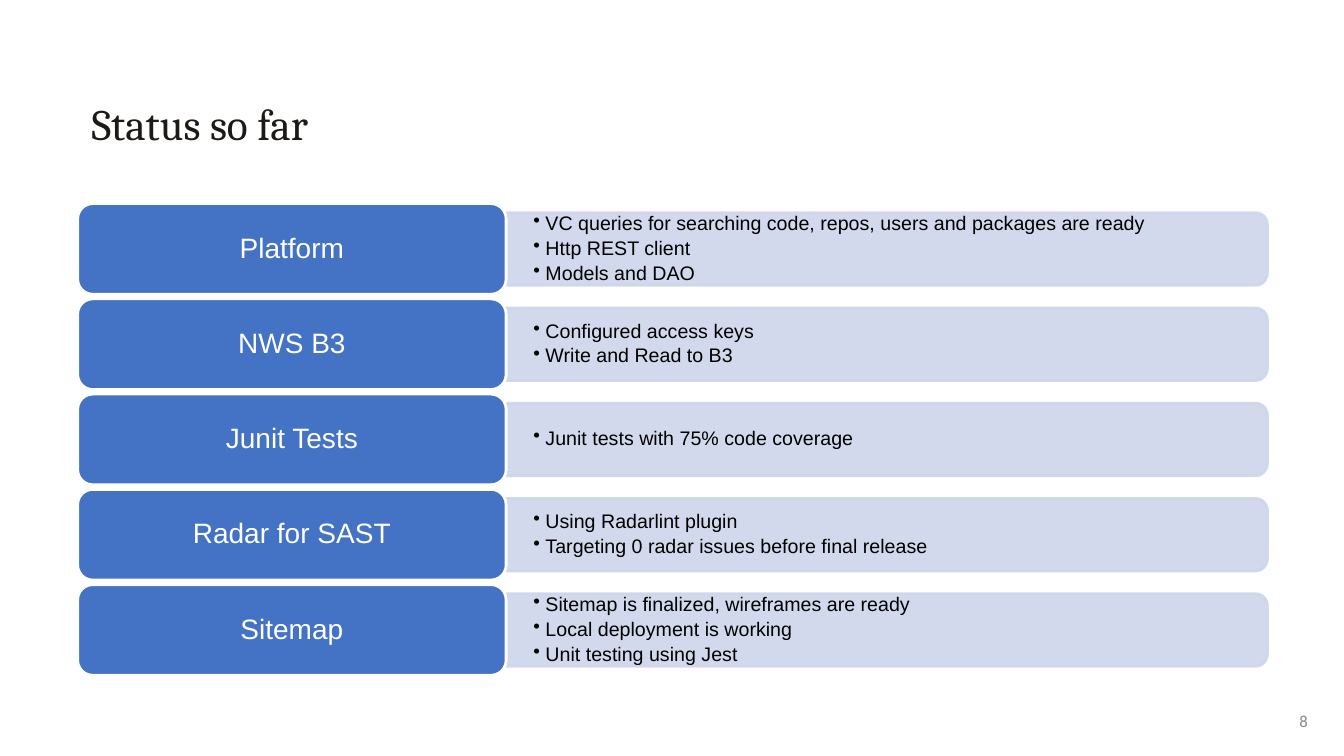
from lxml.etree import SubElement
from pptx import Presentation
from pptx.dml.color import RGBColor
from pptx.enum.shapes import MSO_SHAPE as Shape
from pptx.enum.text import MSO_ANCHOR as Anchor, PP_ALIGN as Align
from pptx.oxml.ns import qn
from pptx.util import Inches, Pt

COLORS = {
    "title": "1D1A16",
    "number": "888888",
    "label": "4472C4",
    "bar": "CFD5EA",
    "white": "FFFFFF",
    "black": "000000",
}

ROWS = [
    ("Platform", ["VC queries for searching code, repos, users and packages are ready",
                  "Http REST client",
                  "Models and DAO"]),
    ("NWS B3", ["Configured access keys",
                "Write and Read to B3"]),
    ("Junit Tests", ["Junit tests with 75% code coverage"]),
    ("Radar for SAST", ["Using Radarlint plugin",
                        "Targeting 0 radar issues before final release"]),
    ("Sitemap", ["Sitemap is finalized, wireframes are ready",
                 "Local deployment is working",
                 "Unit testing using Jest"]),
]

LABEL_LEFT, LABEL_WIDTH, LABEL_HEIGHT = 0.77, 4.25, 0.9
FIRST_TOP, ROW_STEP = 2.02, 0.945
BAR_LENGTH, BAR_HEIGHT = 7.55, 0.72
TEXT_WIDTH, TEXT_HEIGHT = 7.51, 0.65
DETAIL_LEFT = LABEL_LEFT + LABEL_WIDTH


def add_span(para, text, size, font, color):
    span = para.add_run()
    span.text = text
    span.font.size = Pt(size)
    span.font.name = font
    span.font.color.rgb = RGBColor.from_string(COLORS[color])


def add_block(kind, left, top, width, height, fill, line):
    block = page.shapes.add_shape(kind, Inches(left), Inches(top), Inches(width), Inches(height))
    block.shadow.inherit = False
    block.fill.solid()
    block.fill.fore_color.rgb = RGBColor.from_string(COLORS[fill])
    block.line.color.rgb = RGBColor.from_string(COLORS[line])
    block.line.width = Pt(2)
    return block


deck = Presentation()
deck.slide_width, deck.slide_height = Inches(13.33), Inches(7.5)
page = deck.slides.add_slide(deck.slide_layouts[6])

# Title
box = page.shapes.add_textbox(Inches(0.56), Inches(0.91), Inches(9.45), Inches(0.78))
box.text_frame.word_wrap = True
para = box.text_frame.paragraphs[0]
para.space_before = Pt(10)
indents = para._p.get_or_add_pPr()
indents.set("marL", str(Inches(0.5)))
indents.set("indent", str(Inches(-0.25)))
add_span(para, "Status so far", 31, "Cambria", "title")

# Page number
box = page.shapes.add_textbox(Inches(10.07), Inches(6.95), Inches(3), Inches(0.4))
box.text_frame.word_wrap = True
box.text_frame.vertical_anchor = Anchor.MIDDLE
para = box.text_frame.paragraphs[0]
para.alignment = Align.RIGHT
add_span(para, "8", 12, "Calibri", "number")

# One label and one bar of details per row
for index, (name, details) in enumerate(ROWS):
    top = FIRST_TOP + index * ROW_STEP
    middle = top + LABEL_HEIGHT / 2

    # The bar stands upright and is turned so its round corners face right
    bar_left = DETAIL_LEFT + (BAR_LENGTH - BAR_HEIGHT) / 2
    bar = add_block(Shape.ROUND_2_SAME_RECTANGLE, bar_left, middle - BAR_LENGTH / 2,
                    BAR_HEIGHT, BAR_LENGTH, "bar", "bar")
    bar.rotation = 90
    for color in bar._element.spPr.iter(qn("a:srgbClr")):
        SubElement(color, qn("a:alpha")).set("val", "90000")

    box = page.shapes.add_textbox(Inches(DETAIL_LEFT), Inches(middle - TEXT_HEIGHT / 2),
                                  Inches(TEXT_WIDTH), Inches(TEXT_HEIGHT))
    frame = box.text_frame
    frame.word_wrap = True
    frame.vertical_anchor = Anchor.MIDDLE
    frame.margin_left = frame.margin_right = Inches(0.27)
    frame.margin_top = frame.margin_bottom = Inches(0.14)
    for number, detail in enumerate(details):
        para = frame.add_paragraph() if number else frame.paragraphs[0]
        para.level = 1
        para.line_spacing = 0.9
        para.space_after = Pt(2.5)
        bullet = para._p.get_or_add_pPr()
        bullet.set("marL", str(Inches(0.12)))
        bullet.set("indent", str(Inches(-0.12)))
        SubElement(bullet, qn("a:buChar")).set("char", "•")
        add_span(para, detail, 14, "Arial", "black")

    label = add_block(Shape.ROUNDED_RECTANGLE, LABEL_LEFT, top,
                      LABEL_WIDTH, LABEL_HEIGHT, "label", "white")
    label.text_frame.word_wrap = True
    label.text_frame.vertical_anchor = Anchor.MIDDLE
    para = label.text_frame.paragraphs[0]
    para.alignment = Align.CENTER
    para.line_spacing = 0.9
    add_span(para, name, 20, "Arial", "white")

deck.save("out.pptx")
